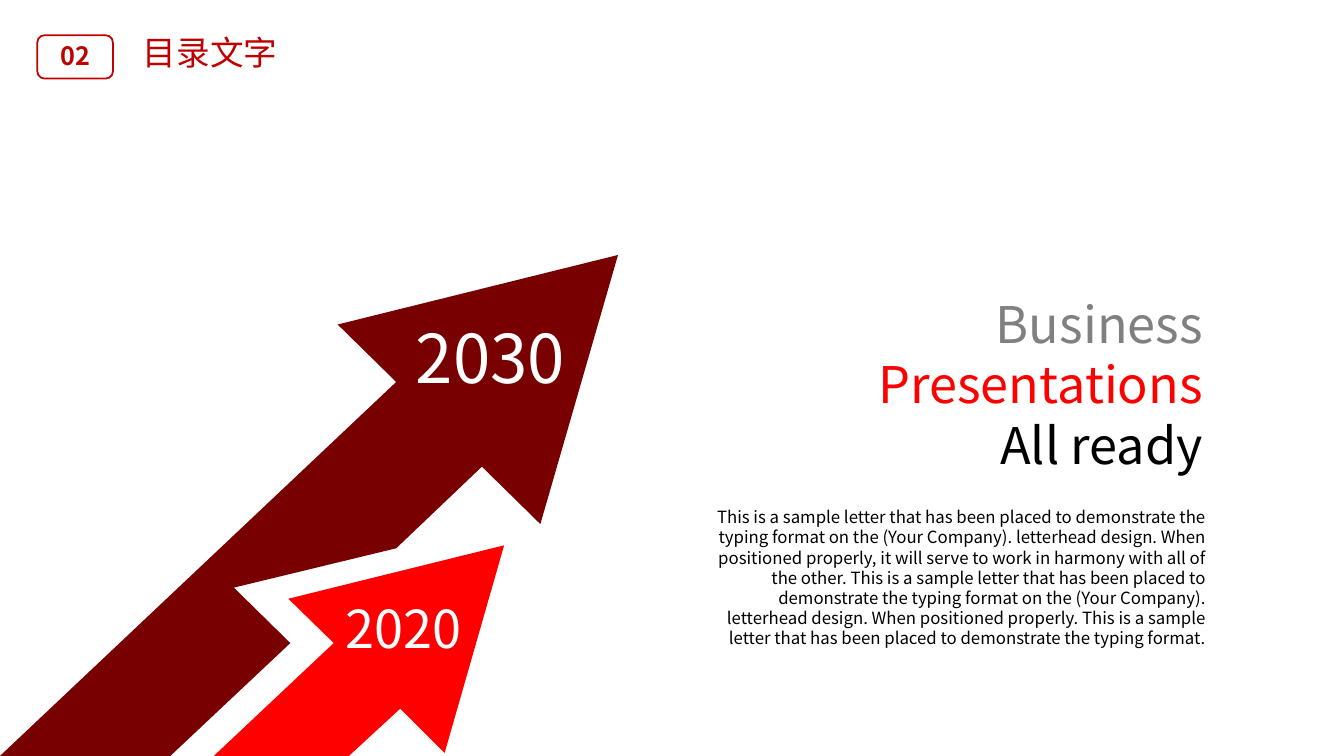
from pptx import Presentation
from pptx.dml.color import RGBColor
from pptx.enum.shapes import MSO_SHAPE
from pptx.enum.text import MSO_ANCHOR, PP_ALIGN
from pptx.util import Pt

PX = 9144
FONT = "Noto Sans CJK SC"
LINE_HEIGHT = 1.2
ROUNDED = MSO_SHAPE.ROUNDED_RECTANGLE
TOP, MIDDLE = MSO_ANCHOR.TOP, MSO_ANCHOR.MIDDLE
RIGHT, CENTER, JUSTIFY = PP_ALIGN.RIGHT, PP_ALIGN.CENTER, PP_ALIGN.JUSTIFY

DARK_RED, RED, CRIMSON = "780000", "FF0000", "C00000"
GRAY, BLACK, WHITE = "808080", "000000", "FFFFFF"

LONG_ARROW = [(613, 0), (335, 69), (393, 126), (0, 497), (169, 497), (288, 385),
              (232, 330), (393, 291), (478, 210), (536, 267)]
SHORT_ARROW = [(288, 0), (74, 53), (119, 97), (0, 209), (134, 209), (185, 162),
               (229, 206)]

BODY = (
    "This is a sample letter that has been placed to demonstrate the typing format "
    "on the (Your Company). letterhead design. When positioned properly, it will "
    "serve to work in harmony with all of the other. This is a sample letter that "
    "has been placed to demonstrate the typing format on the (Your Company). "
    "letterhead design. When positioned properly. This is a sample letter that has "
    "been placed to demonstrate the typing format."
)


def color(value):
    """Turn a hex string into a colour."""
    return RGBColor.from_string(value)


def add_text(slide, box, lines, size, align, anchor=TOP, margins=(10, 5), bold=False):
    """Place a text box with one paragraph for each (text, colour) pair."""
    frame = slide.shapes.add_textbox(*(value * PX for value in box)).text_frame
    frame.word_wrap = True
    frame.vertical_anchor = anchor
    frame.margin_left = frame.margin_right = margins[0] * PX
    frame.margin_top = frame.margin_bottom = margins[1] * PX
    frame.text = "\n".join(text for text, _ in lines)
    for paragraph, (_, fill) in zip(frame.paragraphs, lines):
        paragraph.alignment = align
        paragraph.line_spacing = Pt(round(size * LINE_HEIGHT, 1))
        font = paragraph.runs[0].font
        font.name = FONT
        font.size = Pt(size)
        font.bold = bold
        font.color.rgb = color(fill)


def add_arrow(slide, left, top, outline, fill, year, label_box, size):
    """Draw a rising arrow from its corner and label it with a year."""
    builder = slide.shapes.build_freeform(*outline[0], scale=PX)
    builder.add_line_segments(outline[1:], close=True)
    shape = builder.convert_to_shape(left * PX, top * PX)
    shape.shadow.inherit = False
    shape.fill.solid()
    shape.fill.fore_color.rgb = color(fill)
    shape.line.fill.background()
    x, y, width, height = label_box
    add_text(slide, (left + x, top + y, width, height), [(year, WHITE)], size, CENTER)


def add_header(slide, left, top):
    """Draw the numbered badge and the section title."""
    badge = slide.shapes.add_shape(
        ROUNDED, left * PX, (top + 8) * PX, 75 * PX, 43 * PX)
    badge.shadow.inherit = False
    badge.fill.background()
    badge.line.color.rgb = color(CRIMSON)
    badge.line.width = Pt(1.25)
    add_text(slide, (left + 6, top + 8, 63, 40), [("02", CRIMSON)], 18, CENTER, bold=True)
    add_text(slide, (left + 95, top, 166, 50), [("目录文字", CRIMSON)], 24, JUSTIFY)


def add_message(slide, left, top, width):
    """Stack the three-line headline above the sample paragraph."""
    headline = [("Business", GRAY), ("Presentations", RED), ("All ready", BLACK)]
    add_text(slide, (left + 36, top, width - 36, 233), headline, 36, RIGHT, MIDDLE, (13, 7))
    add_text(slide, (left, top + 234, width, 172), [(BODY, BLACK)], 12, RIGHT)


def main():
    """Build the slide and save it."""
    presentation = Presentation()
    presentation.slide_width = 1333 * PX
    presentation.slide_height = 750 * PX
    slide = presentation.slides.add_slide(presentation.slide_layouts[6])
    add_arrow(slide, 0, 253, LONG_ARROW, DARK_RED, "2030", (395, 56, 183, 91), 48)
    add_arrow(slide, 212, 541, SHORT_ARROW, RED, "2020", (97, 46, 183, 73), 37.3)
    add_message(slide, 689, 264, 517)
    add_header(slide, 37, 27)
    presentation.save("out.pptx")


if __name__ == "__main__":
    main()
